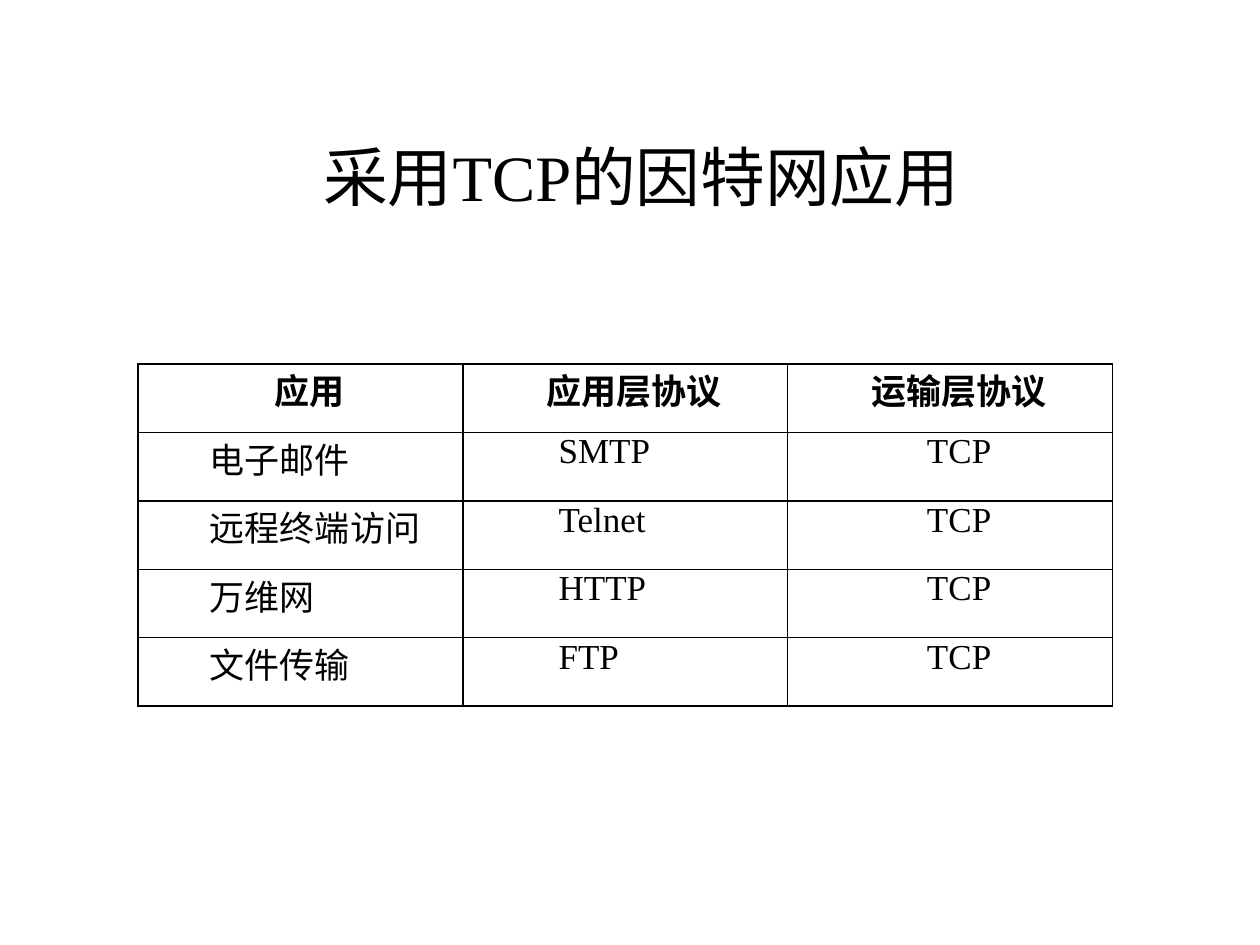
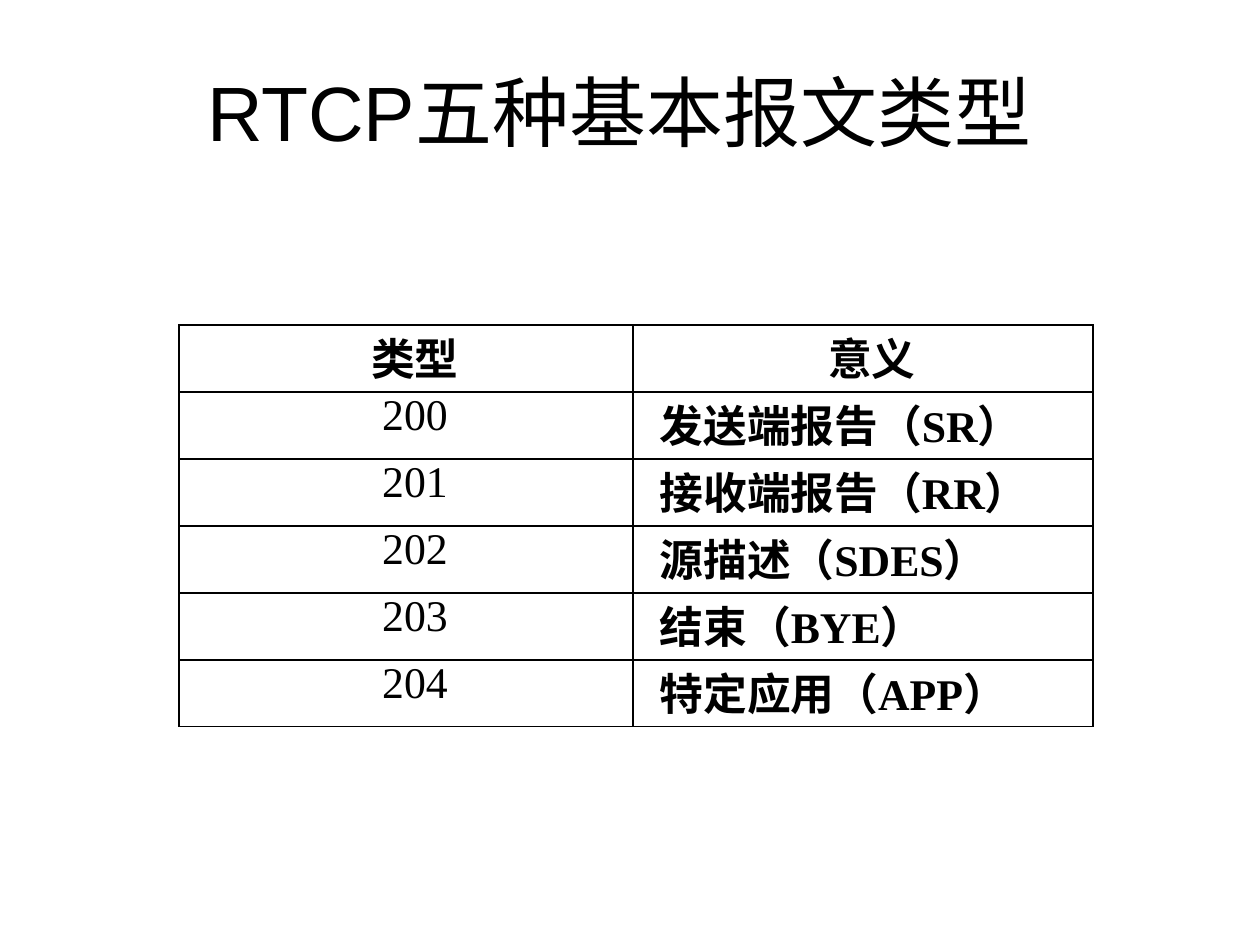
from lxml.etree import SubElement
from pptx import Presentation
from pptx.dml.color import RGBColor
from pptx.enum.text import MSO_ANCHOR, PP_ALIGN
from pptx.oxml.ns import qn
from pptx.util import Cm, Pt

INK = "000000"
SERIF = "Times New Roman"
SANS = "Arial"
CENTERED = {"alignment": PP_ALIGN.CENTER}
JUSTIFIED = {"alignment": PP_ALIGN.JUSTIFY}
LEFT = {"alignment": PP_ALIGN.LEFT}
NARROW_INDENT = 0.36
HEADING = (CENTERED, NARROW_INDENT, True)
CENTERED_VALUE = (CENTERED, NARROW_INDENT, False)
BOLD_MEANING = (LEFT, NARROW_INDENT, True)
APPLICATION = (JUSTIFIED, 1.27, False)
PROTOCOL = (JUSTIFIED, 1.75, False)


def color(value):
    return RGBColor.from_string(value)


def assign(target, values):
    for name, value in values.items():
        setattr(target, name, value)


class Deck:
    def __init__(self):
        self.presentation = Presentation()
        assign(self.presentation, {"slide_width": Cm(25.4), "slide_height": Cm(19.05)})
        self.slide = None

    def add_slide(self):
        self.slide = self.presentation.slides.add_slide(self.presentation.slide_layouts[6])

    def add_text(self, paragraph, text, layout, size, face, bold=False, margin=0, indent=0):
        properties = paragraph._p.get_or_add_pPr()
        properties.set("marL", str(Cm(margin)))
        properties.set("indent", str(Cm(indent)))
        assign(paragraph, layout)
        run = paragraph.add_run()
        run.text = text
        assign(run.font, {"size": Pt(size), "name": face, "bold": bold})
        run.font.color.rgb = color(INK)

    def title(self, text, box, size, face, anchor, layout=CENTERED, hanging=0):
        frame = self.slide.shapes.add_textbox(*map(Cm, box)).text_frame
        assign(frame, {"word_wrap": True, "vertical_anchor": anchor})
        self.add_text(frame.paragraphs[0], text, layout, size, face,
                      margin=hanging, indent=-hanging)

    def borders(self, cell):
        properties = cell._tc.get_or_add_tcPr()
        for side in ("lnL", "lnR", "lnT", "lnB"):
            line = SubElement(properties, qn(f"a:{side}"), w=str(Pt(1)))
            fill = SubElement(line, qn("a:solidFill"))
            SubElement(fill, qn("a:srgbClr"), val=INK)

    def table(self, rows, left, top, widths, row_height, size, column_formats):
        grid = self.slide.shapes.add_table(
            len(rows), len(widths), Cm(left), Cm(top),
            Cm(sum(widths)), Cm(row_height * len(rows))).table
        assign(grid, {"first_row": False, "horz_banding": False})
        for column, width in zip(grid.columns, widths):
            column.width = Cm(width)
        for row_index, row in enumerate(rows):
            grid.rows[row_index].height = Cm(row_height)
            formats = column_formats if row_index else [HEADING] * len(widths)
            for column_index, (text, style) in enumerate(zip(row, formats)):
                cell = grid.cell(row_index, column_index)
                assign(cell, {"margin_left": Cm(0.18), "margin_right": Cm(0.18),
                              "margin_top": 0, "margin_bottom": 0})
                self.borders(cell)
                cell.fill.background()
                layout, indent, bold = style
                self.add_text(cell.text_frame.paragraphs[0], text, layout, size, SERIF,
                              bold, indent=indent)


def main():
    deck = Deck()

    deck.add_slide()
    deck.title("采用TCP的因特网应用", (1.5, 2.31, 22.86, 2.39), 37, SERIF,
               MSO_ANCHOR.TOP, {**CENTERED, "line_spacing": 1.2}, hanging=0.95)
    applications = [
        ("应用", "应用层协议", "运输层协议"),
        ("电子邮件", "SMTP", "TCP"),
        ("远程终端访问", "Telnet", "TCP"),
        ("万维网", "HTTP", "TCP"),
        ("文件传输", "FTP", "TCP"),
    ]
    deck.table(applications, 2.78, 7.34, [6.55] * 3, 1.38, 20,
               [APPLICATION, PROTOCOL, CENTERED_VALUE])

    deck.add_slide()
    deck.title("RTCP五种基本报文类型", (1.06, 0.64, 22.86, 3.18), 44, SANS,
               MSO_ANCHOR.MIDDLE)
    message_types = [
        ("类型", "意义"),
        ("200", "发送端报告（SR）"),
        ("201", "接收端报告（RR）"),
        ("202", "源描述（SDES）"),
        ("203", "结束（BYE）"),
        ("204", "特定应用（APP）"),
    ]
    deck.table(message_types, 3.61, 6.55, [9.15, 9.27], 1.35, 25,
               [CENTERED_VALUE, BOLD_MEANING])

    deck.presentation.save("out.pptx")


if __name__ == "__main__":
    main()
